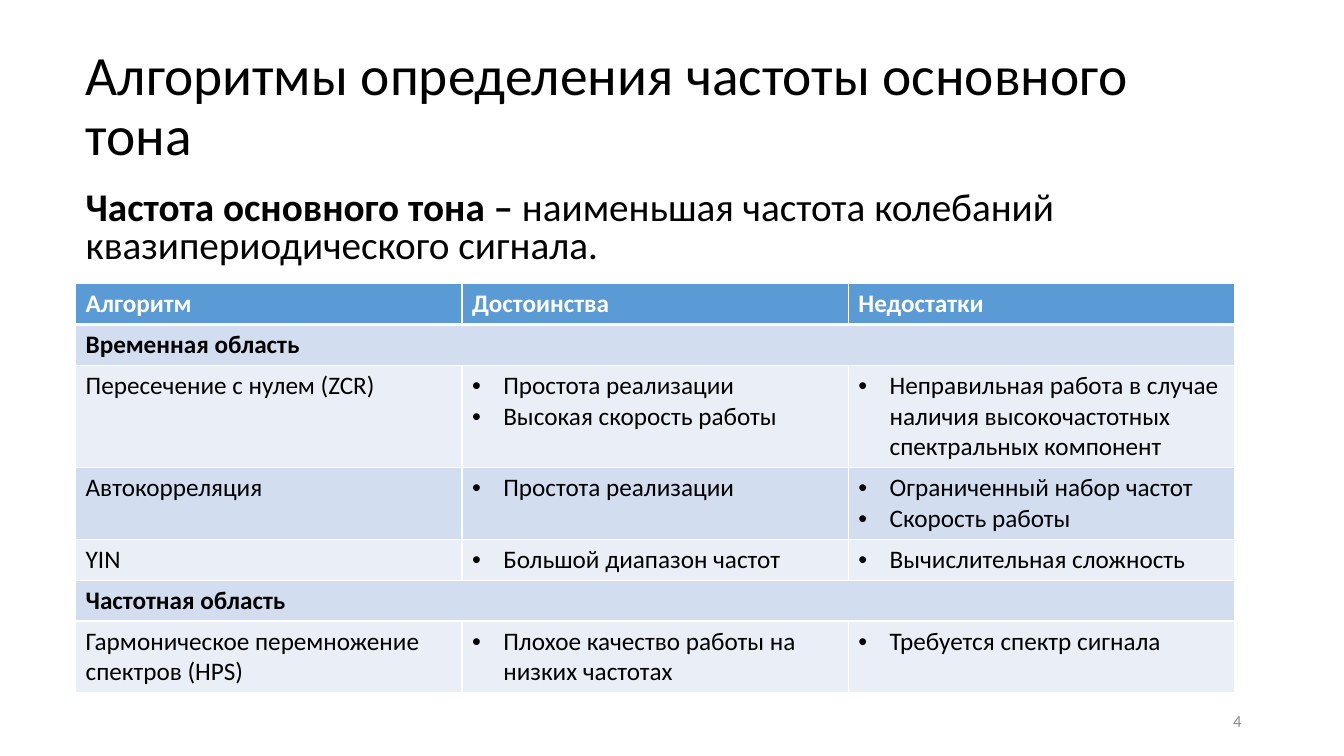
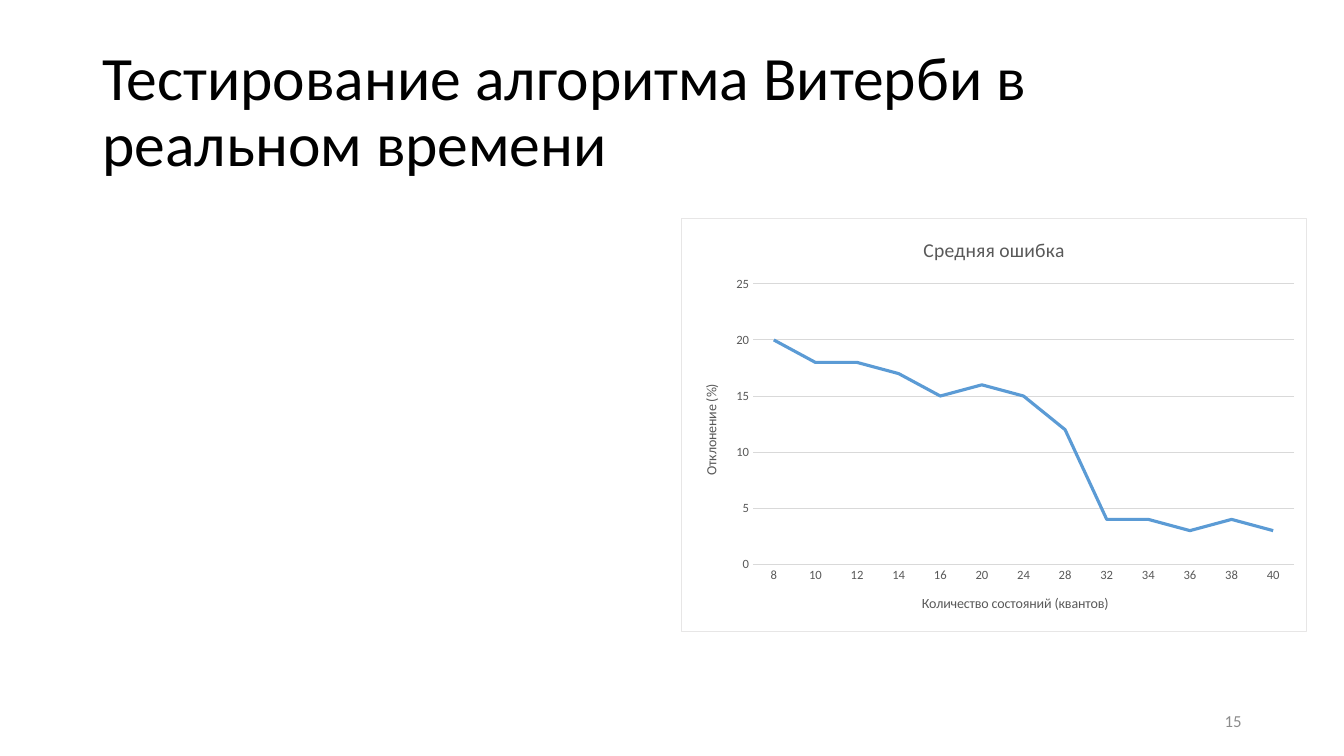
"""Two slides on pitch detection: a table of algorithms and a chart of test errors."""
from lxml.etree import SubElement
from pptx import Presentation
from pptx.chart.data import CategoryChartData
from pptx.dml.color import RGBColor
from pptx.enum.chart import XL_CHART_TYPE, XL_TICK_MARK
from pptx.enum.text import MSO_ANCHOR, MSO_AUTO_SIZE, PP_ALIGN
from pptx.oxml import parse_xml
from pptx.oxml.ns import nsdecls, qn
from pptx.util import Emu, Inches, Pt

BLACK, WHITE, BLUE = "000000", "FFFFFF", "5B9BD5"
DARK_BAND, LIGHT_BAND = "D2DEEF", "EAEFF7"
PAGE_GRAY, LABEL_GRAY, GRID_GRAY, FRAME_GRAY = "8C8C8C", "595959", "D9D9D9", "E7E6E6"

deck = Presentation()
deck.slide_width, deck.slide_height = Inches(13.333), Inches(7.5)
UNIT = deck.slide_height / 90


def area(*grid):
    """Turn units of a 160 by 90 slide grid into lengths."""
    return [Emu(round(units * UNIT)) for units in grid]


def write(font, size, color, bold=False):
    """Set the deck's font with a size in points and a hex colour."""
    for key, value in {"name": "Calibri", "size": Pt(size), "bold": bold}.items():
        setattr(font, key, value)
    font.color.rgb = RGBColor.from_string(color)


pages = [
    (1, "Алгоритмы определения частоты основного тона", 39.6, (9, 4.8, 138.6, 16), "4"),
    (5, "Тестирование алгоритма Витерби в реальном времени", 44, (11, 4.8, 138, 17.4), "15"),
]
for layout, heading, size, place, number in pages:
    slide = deck.slides.add_slide(deck.slide_layouts[layout])
    title = slide.shapes.title
    footer = slide.shapes.add_textbox(*area(113, 83.4, 36, 4.8))
    title.left, title.top, title.width, title.height = area(*place)
    for holder, words, points, color, align in (
        (title, heading, size, BLACK, PP_ALIGN.LEFT),
        (footer, number, 12, PAGE_GRAY, PP_ALIGN.RIGHT),
    ):
        frame = holder.text_frame
        frame.text = words
        for key, value in {"word_wrap": True, "auto_size": MSO_AUTO_SIZE.NONE,
                           "vertical_anchor": MSO_ANCHOR.MIDDLE}.items():
            setattr(frame, key, value)
        frame.paragraphs[0].alignment = align
        write(frame.paragraphs[0].runs[0].font, points, color)
    title.text_frame.paragraphs[0].line_spacing = 0.9

algorithms, testing = deck.slides

definition = algorithms.placeholders[1]
definition.left, definition.top, definition.width, definition.height = area(9, 22.2, 137.2, 10.4)
definition.text_frame.auto_size = MSO_AUTO_SIZE.NONE
sentence = definition.text_frame.paragraphs[0]
for key, value in {"line_spacing": 0.8, "space_before": Pt(10)}.items():
    setattr(sentence, key, value)
properties = sentence._p.get_or_add_pPr()
for key in ("marL", "indent"):
    properties.set(key, "0")
SubElement(properties, qn("a:buNone"))
for words, bold in (("Частота основного тона – ", True),
                    ("наименьшая частота колебаний квазипериодического сигнала.", False)):
    run = sentence.add_run()
    run.text = words
    write(run.font, 28, BLACK, bold)

comparison = [
    (1, ["Алгоритм", "Достоинства", "Недостатки"]),
    (1, ["Временная область"]),
    (3, ["Пересечение с нулем (ZCR)",
         "Простота реализации\nВысокая скорость работы",
         "Неправильная работа в случае наличия высокочастотных спектральных компонент"]),
    (2, ["Автокорреляция", "Простота реализации", "Ограниченный набор частот\nСкорость работы"]),
    (1, ["YIN", "Большой диапазон частот", "Вычислительная сложность"]),
    (1, ["Частотная область"]),
    (2, ["Гармоническое перемножение спектров (HPS)",
         "Плохое качество работы на низких частотах", "Требуется спектр сигнала"]),
]
table = algorithms.shapes.add_table(len(comparison), 3, *area(9, 33.75, 138, 48.6)).table
for row, (lines, entries) in enumerate(comparison):
    header, section = row == 0, len(entries) == 1
    table.rows[row].height = Inches(0.1 + 0.3 * lines)
    band = BLUE if header else DARK_BAND if row % 2 else LIGHT_BAND
    for column in range(3):
        cell = table.cell(row, column)
        cell.fill.solid()
        cell.fill.fore_color.rgb = RGBColor.from_string(band)
        for index, side in enumerate("LRTB"):
            heavy = header and side == "B" or row == 1 and side == "T"
            cell._tc.get_or_add_tcPr().insert(index, parse_xml(
                f'<a:ln{side} {nsdecls("a")} w="{Pt(3 if heavy else 1)}"><a:solidFill>'
                f'<a:srgbClr val="{WHITE}"/></a:solidFill></a:ln{side}>'))
    if section:
        table.cell(row, 0).merge(table.cell(row, 2))
    for column, entry in enumerate(entries):
        cell = table.cell(row, column)
        cell.text = entry
        for paragraph in cell.text_frame.paragraphs:
            write(paragraph.runs[0].font, 18, WHITE if header else BLACK, header or section)
            if column and not header:
                properties = paragraph._p.get_or_add_pPr()
                properties.set("marL", str(Inches(0.31)))
                properties.set("indent", str(-Inches(0.31)))
                SubElement(properties, qn("a:buFont")).set("typeface", "Arial")
                SubElement(properties, qn("a:buChar")).set("char", "•")

errors = CategoryChartData()
errors.categories = ["8", "10", "12", "14", "16", "20", "24", "28", "32", "34", "36", "38", "40"]
errors.add_series("Series 1", [20, 18, 18, 17, 15, 16, 15, 12, 4, 4, 3, 4, 3])
chart = testing.shapes.add_chart(XL_CHART_TYPE.LINE, *area(81.1, 26, 74.5, 49.3), errors).chart
chart.has_legend = False
write(chart.font, 10, BLACK)
states, deviation = chart.category_axis, chart.value_axis
for owner, words, size in ((chart, "Средняя ошибка", 14),
                           (states, "Количество состояний (квантов)", 10),
                           (deviation, "Отклонение (%)", 10)):
    owner.has_title = True
    caption = (chart.chart_title if owner is chart else owner.axis_title).text_frame
    caption.text = words
    write(caption.paragraphs[0].runs[0].font, size, LABEL_GRAY)
for axis in (states, deviation):
    axis.major_tick_mark = axis.minor_tick_mark = XL_TICK_MARK.NONE
    write(axis.tick_labels.font, 9, LABEL_GRAY)
for key, value in {"minimum_scale": 0, "maximum_scale": 25, "major_unit": 5}.items():
    setattr(deviation, key, value)
deviation.format.line.fill.background()
chart.plots[0].vary_by_categories = False
curve = chart.plots[0].series[0]
curve.smooth = False
for line, color, width in ((curve.format.line, BLUE, 2.25),
                           (states.format.line, GRID_GRAY, 0.75),
                           (deviation.major_gridlines.format.line, GRID_GRAY, 0.75)):
    line.color.rgb = RGBColor.from_string(color)
    line.width = Pt(width)
chart._chartSpace.find(qn("c:chart")).addnext(parse_xml(
    f'<c:spPr {nsdecls("c", "a")}><a:solidFill><a:srgbClr val="{WHITE}"/></a:solidFill>'
    f'<a:ln w="{Pt(0.75)}"><a:solidFill><a:srgbClr val="{FRAME_GRAY}"/></a:solidFill></a:ln></c:spPr>'))

deck.save("out.pptx")
